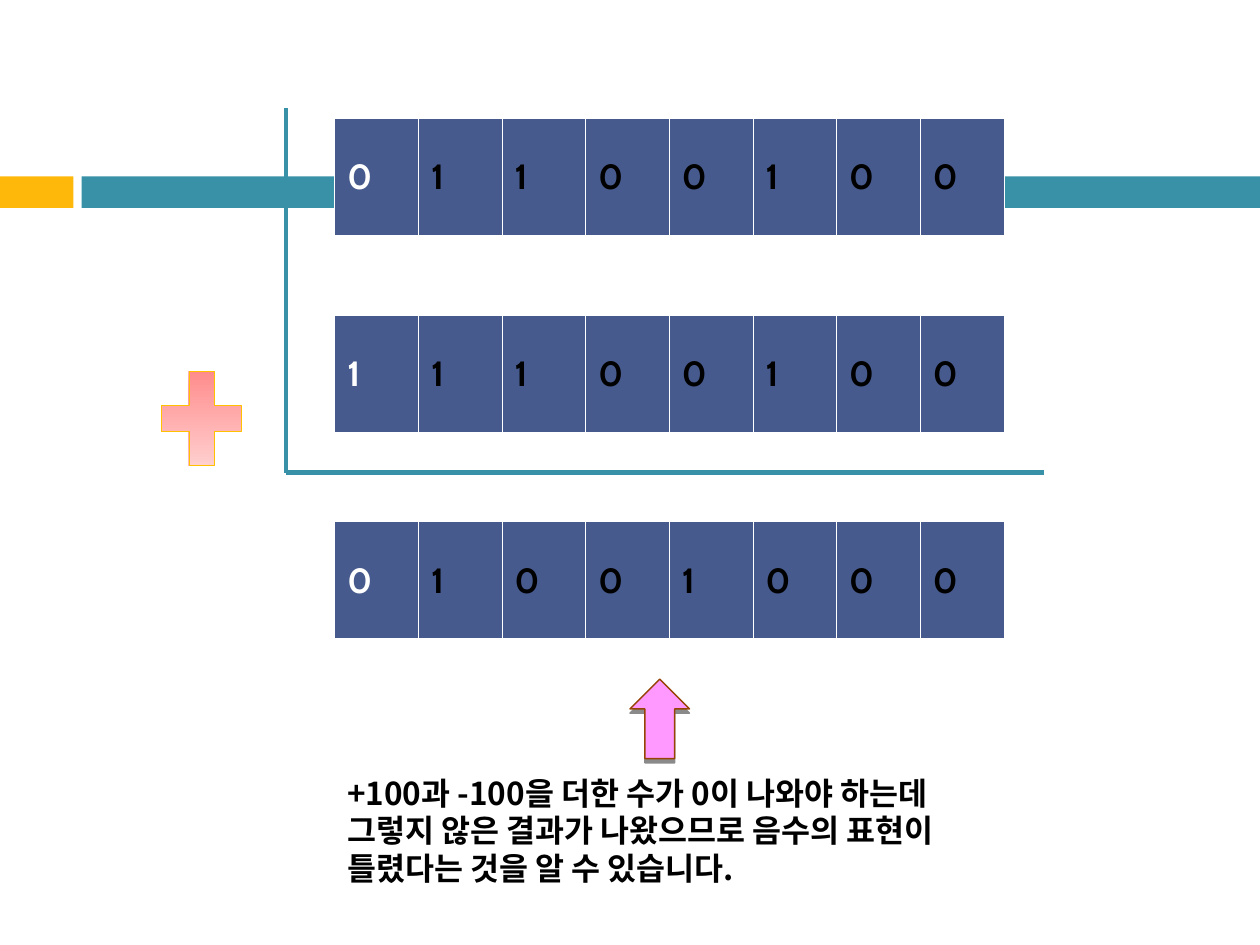
import pptx
import pptx.dml.color
import pptx.enum.shapes
import pptx.enum.text
import pptx.oxml
import pptx.oxml.ns
import pptx.util
from lxml import etree

Pt = pptx.util.Pt
SHAPES = pptx.enum.shapes.MSO_SHAPE
COLORS = {
    "teal": "3891A7", "amber": "FEB80A", "cell": "475A8D",
    "white": "FFFFFF", "black": "000000",
    "plus_top": "FF8080", "plus_bottom": "FFDADA", "plus_edge": "FFC000",
    "arrow": "FF99FF", "arrow_edge": "964305",
}
BYTE_LEFT, BYTE_HEIGHT, BIT_WIDTH = 191.3, 67.4, 47.8
BYTES = [("01100100", 67.7), ("11100100", 180), ("01001000", 298.1)]
EXPLANATION = ("+100과 -100을 더한 수가 0이 나와야 하는데 그렇지 않은 결과가 "
               "나왔으므로 음수의 표현이 틀렸다는 것을 알 수 있습니다.")


def rgb(name):
    return pptx.dml.color.RGBColor.from_string(COLORS[name])


def paint(fill, color):
    fill.solid()
    fill.fore_color.rgb = rgb(color)


def format_run(run, size, font, color):
    run.font.size = Pt(size)
    run.font.name = font
    run.font.bold = True
    run.font.color.rgb = rgb(color)
    east_asian = etree.SubElement(run.font._element, pptx.oxml.ns.qn("a:ea"))
    east_asian.set("typeface", font)


def add_shape(slide, kind, left, top, width, height, fill=None, edge=None, edge_width=0):
    shape = slide.shapes.add_shape(kind, Pt(left), Pt(top), Pt(width), Pt(height))
    shape.shadow.inherit = False
    if fill:
        paint(shape.fill, fill)
    if edge:
        shape.line.color.rgb = rgb(edge)
        shape.line.width = Pt(edge_width)
    else:
        shape.line.fill.background()
    return shape


def border_cell(cell):
    properties = cell._tc.get_or_add_tcPr()
    widths = {"lnL": 0.45, "lnR": 0.45, "lnT": 0.45, "lnB": 1.47}
    for position, (side, width) in enumerate(widths.items()):
        border = pptx.oxml.parse_xml(
            f'<a:{side} {pptx.oxml.ns.nsdecls("a")} w="{Pt(width)}"><a:solidFill>'
            f'<a:srgbClr val="{COLORS["white"]}"/></a:solidFill></a:{side}>')
        properties.insert(position, border)


def add_byte(slide, bits, top):
    frame = slide.shapes.add_table(1, len(bits), Pt(BYTE_LEFT), Pt(top),
                                   Pt(BIT_WIDTH * len(bits)), Pt(BYTE_HEIGHT))
    table = frame.table
    table.first_row = table.horz_banding = False
    for index, bit in enumerate(bits):
        table.columns[index].width = Pt(BIT_WIDTH)
        cell = table.cell(0, index)
        cell.text_frame.text = bit
        cell.vertical_anchor = pptx.enum.text.MSO_ANCHOR.MIDDLE
        format_run(cell.text_frame.paragraphs[0].runs[0], 20, "Cabin",
                   "black" if index else "white")
        paint(cell.fill, "cell")
        border_cell(cell)


def add_rule(slide, x1, y1, x2, y2, width):
    rule = slide.shapes.add_connector(pptx.enum.shapes.MSO_CONNECTOR.STRAIGHT,
                                      Pt(x1), Pt(y1), Pt(x2), Pt(y2))
    rule.line.color.rgb = rgb("teal")
    rule.line.width = Pt(width)
    etree.SubElement(rule._element.spPr, pptx.oxml.ns.qn("a:effectLst"))


def add_plus(slide):
    plus = add_shape(slide, SHAPES.MATH_PLUS, 84.2, 202.3, 62, 73.4,
                     edge="plus_edge", edge_width=0.25)
    plus.fill.gradient()
    plus.fill.gradient_angle = 270
    for stop, position, color in zip(plus.fill.gradient_stops, (0, 1),
                                     ("plus_top", "plus_bottom")):
        stop.position = position
        stop.color.rgb = rgb(color)


def add_result_arrow(slide):
    arrow = add_shape(slide, SHAPES.RIGHT_ARROW, 354.3, 393.8, 45.4, 34,
                      "arrow", "arrow_edge", 0.79)
    arrow.rotation = 270
    effects = arrow._element.spPr.find(pptx.oxml.ns.qn("a:effectLst"))
    effects.append(pptx.oxml.parse_xml(
        f'<a:outerShdw {pptx.oxml.ns.nsdecls("a")} blurRad="0" dist="{Pt(2.4)}" '
        f'dir="5400000" rotWithShape="0"><a:srgbClr val="{COLORS["black"]}">'
        '<a:alpha val="45000"/></a:srgbClr></a:outerShdw>'))


def add_explanation(slide):
    box = slide.shapes.add_textbox(Pt(191.3), Pt(438.5), Pt(394), Pt(72))
    box.text_frame.word_wrap = True
    box.text_frame.text = EXPLANATION
    format_run(box.text_frame.paragraphs[0].runs[0], 18, "Noto Sans CJK KR", "black")


def main():
    deck = pptx.Presentation()
    deck.slide_width, deck.slide_height = Pt(720), Pt(540)
    slide = deck.slides.add_slide(deck.slide_layouts[6])
    add_shape(slide, SHAPES.RECTANGLE, 0, 100.8, 42, 18, "amber")
    add_shape(slide, SHAPES.RECTANGLE, 46.6, 100.8, 673.4, 18, "teal")
    for bits, top in BYTES:
        add_byte(slide, bits, top)
    add_rule(slide, 163.3, 62, 163.3, 270, 2.25)
    add_rule(slide, 163.3, 270, 596.3, 270, 3)
    add_plus(slide)
    add_explanation(slide)
    add_result_arrow(slide)
    deck.save("out.pptx")


if __name__ == "__main__":
    main()
